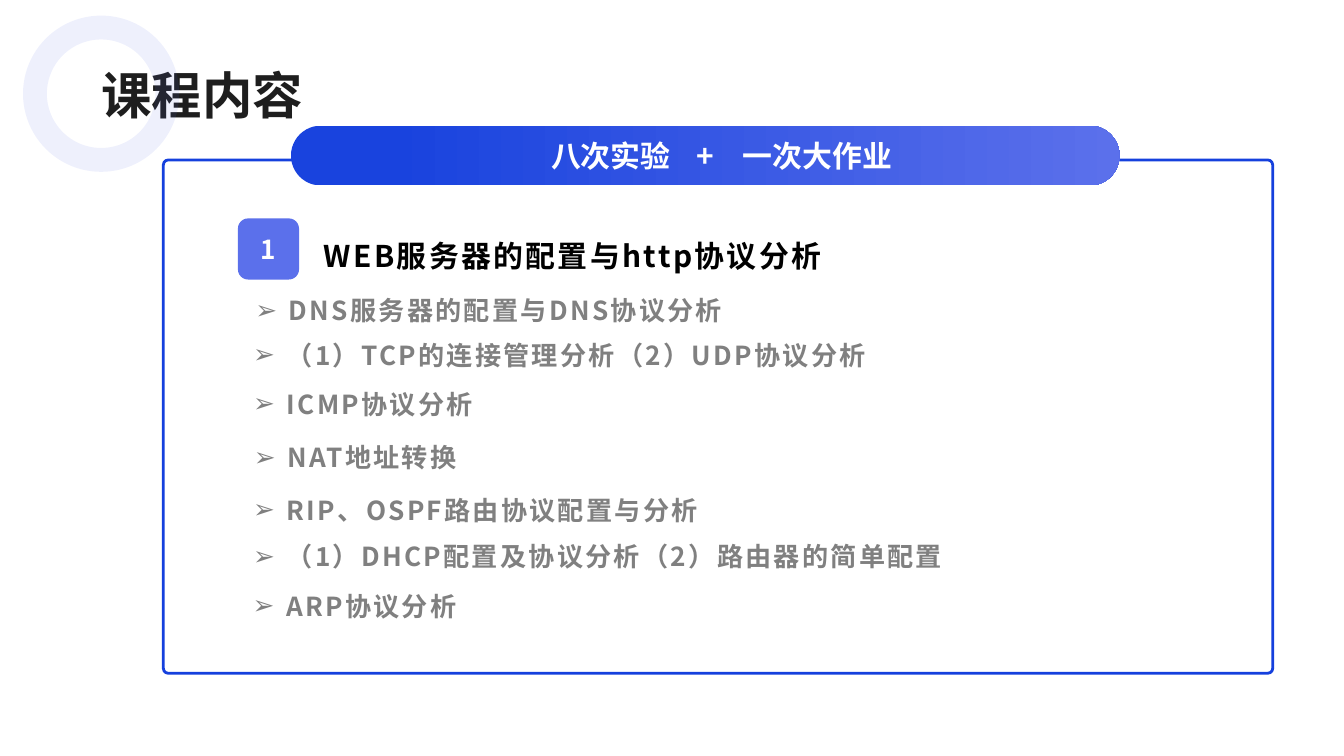
from lxml import etree
from pptx import Presentation
from pptx.dml.color import RGBColor
from pptx.enum.shapes import MSO_SHAPE as Shape
from pptx.enum.text import MSO_ANCHOR as Anchor, MSO_AUTO_SIZE as AutoSize, PP_ALIGN as Align
from pptx.oxml.ns import qn
from pptx.util import Inches, Pt

FONT = "Noto Sans CJK SC"
INK = RGBColor(0x1E, 0x1E, 0x1E)
BLACK = RGBColor(0, 0, 0)
GRAY = RGBColor(0x80, 0x80, 0x80)
WHITE = RGBColor(0xFF, 0xFF, 0xFF)
BLUE = RGBColor(0x15, 0x40, 0xDD)
BANNER_BLUE = RGBColor(0x19, 0x43, 0xDE)
LIGHT_BLUE = RGBColor(0x5B, 0x70, 0xEB)

EXPERIMENTS = [
    (0.04, 0, 8.19, "DNS服务器的配置与DNS协议分析"),
    (0.01, 0.66, 10.62, "（1）TCP的连接管理分析（2）UDP协议分析"),
    (0.01, 1.39, 6.11, "ICMP协议分析"),
    (0.02, 2.19, 4.67, "NAT地址转换"),
    (0.01, 2.97, 7.92, "RIP、OSPF路由协议配置与分析"),
    (0.01, 3.66, 11.64, "（1）DHCP配置及协议分析（2）路由器的简单配置"),
    (0, 4.4, 8.86, "ARP协议分析"),
]


def write_text(shape, text, size, color, align=Align.LEFT, anchor=Anchor.MIDDLE,
               line_spacing=None, letter_spacing=None, inset=True, grow=True,
               bullet=None, tabs=()):
    frame = shape.text_frame
    frame.word_wrap = True
    frame.auto_size = AutoSize.SHAPE_TO_FIT_TEXT if grow else AutoSize.NONE
    frame.vertical_anchor = anchor
    if not inset:
        frame.margin_left = frame.margin_top = frame.margin_right = frame.margin_bottom = 0
    para = frame.paragraphs[0]
    props = para._p.get_or_add_pPr()
    if bullet:
        props.set("marL", str(Inches(0.5)))
        props.set("indent", str(Inches(-0.5)))
        etree.SubElement(props, qn("a:buFont")).set("typeface", "Arial")
        etree.SubElement(props, qn("a:buChar")).set("char", bullet)
    if tabs:
        tab_list = etree.SubElement(props, qn("a:tabLst"))
        for position in tabs:
            etree.SubElement(tab_list, qn("a:tab"), pos=str(Inches(position)), algn="l")
    para.alignment = align
    if line_spacing:
        para.line_spacing = line_spacing
    span = para.add_run()
    span.text = text
    font = span.font
    font.name, font.size, font.bold = FONT, Pt(size), True
    font.color.rgb = color
    etree.SubElement(font._element, qn("a:ea")).set("typeface", FONT)
    if letter_spacing:
        font._element.set("spc", str(int(letter_spacing * 100)))


def add_text(page, left, top, width, height, text, **style):
    box = page.shapes.add_textbox(Inches(left), Inches(top), Inches(width), Inches(height))
    write_text(box, text, **style)


def add_shape(page, kind, left, top, width, height, radius=None, fill=None,
              line=None, line_width=1):
    shape = page.shapes.add_shape(kind, Inches(left), Inches(top), Inches(width), Inches(height))
    shape.shadow.inherit = False
    if radius is not None:
        shape.adjustments[0] = radius
    if fill is None:
        shape.fill.background()
    else:
        shape.fill.solid()
        shape.fill.fore_color.rgb = fill
    if line is None:
        shape.line.fill.background()
    else:
        shape.line.color.rgb = line
        shape.line.width = Pt(line_width)
    return shape


def place_heading(page, left, top, width, height):
    title = page.shapes.title
    title.left, title.top = Inches(left), Inches(top)
    title.width, title.height = Inches(width), Inches(height)
    write_text(title, "课程内容", size=54, color=INK, anchor=Anchor.TOP,
               line_spacing=Pt(64.8), inset=False)
    ring = add_shape(page, Shape.OVAL, left - 0.99, top - 0.54, 1.97, 1.97,
                     line=LIGHT_BLUE, line_width=25.5)
    color = ring.line._ln.find(".//" + qn("a:srgbClr"))
    etree.SubElement(color, qn("a:alpha")).set("val", "10000")


def place_banner(page, left, top, width, height):
    banner = add_shape(page, Shape.ROUNDED_RECTANGLE, left, top, width, height, radius=0.5)
    banner.fill.gradient()
    banner.fill.gradient_angle = 0
    stops = banner.fill.gradient_stops
    for stop, position, color in zip(stops, (0.12, 1), (BANNER_BLUE, LIGHT_BLUE)):
        stop.position = position
        stop.color.rgb = color
    add_text(page, left + 3.87, top + 0.32, 6.46, 0.43, "八次实验\t+\t一次大作业",
             size=32, color=WHITE, align=Align.JUSTIFY, anchor=Anchor.TOP,
             line_spacing=Pt(28.6), inset=False, tabs=(2.17, 2.85))


def place_experiments(page, left, top, width, height):
    add_shape(page, Shape.ROUNDED_RECTANGLE, left, top, width, height,
              radius=0.01, line=BLUE, line_width=3)
    place_banner(page, left + 1.9, top - 0.51, 12.33, 0.89)
    add_text(page, left + 2.29, top + 0.83, 8.86, 0.91, "WEB服务器的配置与http协议分析",
             size=32, color=BLACK, line_spacing=1.5, letter_spacing=2.5)
    badge = add_shape(page, Shape.ROUNDED_RECTANGLE, left + 1.11, top + 0.87, 0.91, 0.91,
                      fill=LIGHT_BLUE)
    write_text(badge, "1", size=28, color=WHITE, align=Align.CENTER, grow=False)
    for shift, drop, text_width, text in EXPERIMENTS:
        add_text(page, left + 1.23 + shift, top + 1.75 + drop, text_width, 0.74, text,
                 size=28, color=GRAY, line_spacing=1.5, letter_spacing=2.5, bullet="➢")


def main():
    deck = Presentation()
    deck.slide_width, deck.slide_height = Inches(20), Inches(11.25)
    page = deck.slides.add_slide(deck.slide_layouts[5])
    place_heading(page, 1.51, 0.95, 5.75, 0.9)
    place_experiments(page, 2.43, 2.38, 16.51, 7.64)
    deck.save("out.pptx")


if __name__ == "__main__":
    main()
